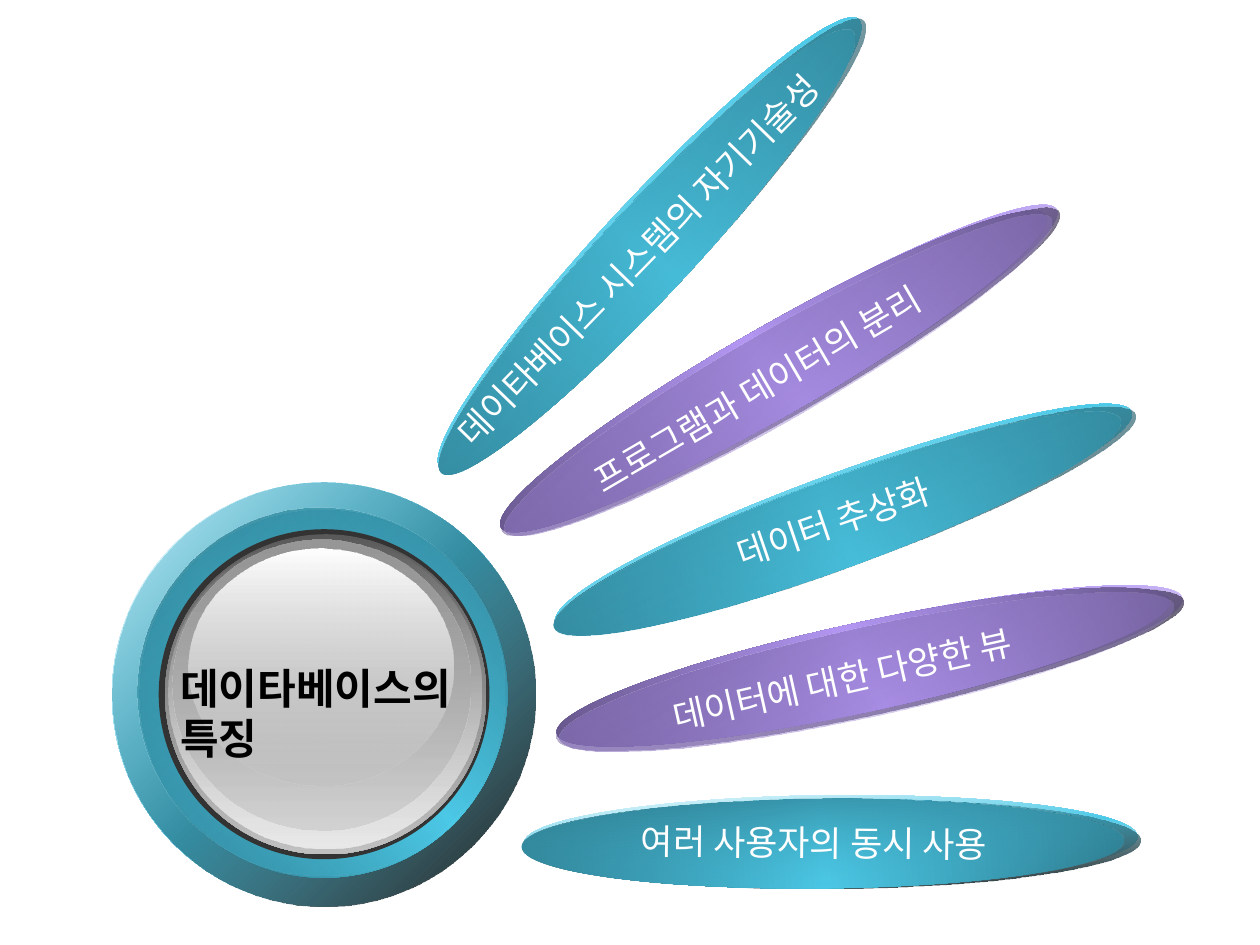
import math
from dataclasses import dataclass

import pptx
import pptx.dml.color
import pptx.enum.shapes
import pptx.enum.text
import pptx.oxml
import pptx.oxml.ns
import pptx.util
from lxml import etree

Pt = pptx.util.Pt
qn = pptx.oxml.ns.qn


@dataclass(frozen=True)
class Tone:
    base: str
    edge: str
    shade: str
    angle: int


@dataclass(frozen=True)
class Theme:
    font: str = "Noto Sans CJK KR"
    title_size: int = 24
    label_size: int = 20
    black: str = "000000"
    white: str = "FFFFFF"
    rim: str = "333333"
    dark: str = "595959"
    mid: str = "989898"
    silver: str = "C0C0C0"
    pale: str = "E9E9E9"
    teal: Tone = Tone("4CCAE8", "296D7E", "308093", 86)
    purple: Tone = Tone("B296F2", "605183", "715F9A", 75)


class Deck:
    def __init__(self, theme):
        self.theme = theme
        self.prs = pptx.Presentation()
        self.prs.slide_width, self.prs.slide_height = Pt(720), Pt(540)
        self.s = self.prs.slides.add_slide(self.prs.slide_layouts[5])

    def group(self):
        return self.s.shapes.add_group_shape().shapes

    def gradient(self, sp, stops, angle):
        sp.fill.background()
        fill = pptx.oxml.parse_xml(
            '<a:gradFill xmlns:a="http://schemas.openxmlformats.org/drawingml/2006/main"'
            f' rotWithShape="1"><a:gsLst/><a:lin ang="{angle * 60000}" scaled="1"/></a:gradFill>')
        for pos, color, alpha in stops:
            gs = etree.SubElement(fill[0], qn("a:gs"), pos=str(pos * 1000))
            clr = etree.SubElement(gs, qn("a:srgbClr"), val=color)
            if alpha < 100:
                etree.SubElement(clr, qn("a:alpha"), val=str(alpha * 1000))
        old = sp.element.spPr.find(qn("a:noFill"))
        sp.element.spPr.replace(old, fill)

    def ellipse(self, shapes, box, stops, angle=0, rotation=0):
        sp = shapes.add_shape(pptx.enum.shapes.MSO_SHAPE.OVAL, *map(Pt, box))
        sp.rotation = rotation
        sp.shadow.inherit = False
        sp.line.fill.background()
        if isinstance(stops, str):
            sp.fill.solid()
            sp.fill.fore_color.rgb = pptx.dml.color.RGBColor.from_string(stops)
        else:
            self.gradient(sp, stops, angle)

    def run(self, p, text, size, color, bold=False):
        p.alignment = pptx.enum.text.PP_ALIGN.LEFT
        r = p.add_run()
        r.text = text
        r.font.size, r.font.bold = Pt(size), bold
        r.font.color.rgb = pptx.dml.color.RGBColor.from_string(color)
        r.font.name = self.theme.font
        etree.SubElement(r.font._element, qn("a:ea"), typeface=self.theme.font)

    def label(self, shapes, text, center, width, rotation):
        height = 32
        box = center[0] - width / 2, center[1] - height / 2, width, height
        sp = shapes.add_textbox(*map(Pt, box))
        sp.rotation = rotation
        sp.text_frame.word_wrap = False
        self.run(sp.text_frame.paragraphs[0], text, self.theme.label_size, self.theme.white)

    def title(self, lines, box):
        sp = self.s.shapes.title
        sp.left, sp.top, sp.width, sp.height = map(Pt, box)
        tf = sp.text_frame
        tf.word_wrap = True
        tf.auto_size = pptx.enum.text.MSO_AUTO_SIZE.NONE
        tf.vertical_anchor = pptx.enum.text.MSO_ANCHOR.TOP
        for i, line in enumerate(lines):
            p = tf.add_paragraph() if i else tf.paragraphs[0]
            self.run(p, line, self.theme.title_size, self.theme.black, True)
        self.s.shapes.element.append(sp.element)

    def glass(self, tone, angle):
        t = self.theme
        return [
            ([(0, t.white, 100), (50, tone.base, 100), (100, t.white, 100)], angle),
            ([(0, tone.base, 32), (100, t.black, 90)], angle),
            ([(0, tone.edge, 100), (50, tone.base, 100), (100, tone.edge, 100)],
             (angle - 90) % 360),
            ([(0, tone.shade, 100), (100, tone.base, 0)], angle),
        ]

    def petal(self, tone, center, rotation, layers, text, text_center, text_width, text_rotation):
        shapes = self.group()
        cos, sin = math.cos(math.radians(rotation)), math.sin(math.radians(rotation))
        height = 51
        for (width, dx, dy), (stops, angle) in zip(layers, self.glass(tone, tone.angle)):
            x = center[0] + dx * cos - dy * sin
            y = center[1] + dx * sin + dy * cos
            box = x - width / 2, y - height / 2, width, height
            self.ellipse(shapes, box, stops, angle, rotation)
        self.label(shapes, text, text_center, text_width, text_rotation)

    def dial(self):
        t = self.theme
        shapes = self.group()
        rings = [(64, 275.8, 242, 242), (64, 275.8, 242, 242),
                 (80, 291.6, 210, 210), (78.5, 290.2, 210, 210)]
        for box, (stops, angle) in zip(rings, self.glass(t.teal, 45)):
            self.ellipse(shapes, box, stops, angle)
        self.ellipse(shapes, (90.7, 302.4, 189, 188.6), t.rim)
        faces = [
            ((94.3, 305.3, 183.6, 183), (t.dark, 100), (t.silver, 100)),
            ((96.5, 306, 178.6, 178.6), (t.silver, 0), (t.pale, 100)),
            ((98.6, 308.2, 170, 166.3), (t.mid, 100), (t.silver, 48)),
            ((108, 313.2, 151.2, 135.4), (t.white, 100), (t.silver, 38)),
        ]
        for box, start, end in faces:
            self.ellipse(shapes, box, [(0, *start), (100, *end)], 90)


def main():
    theme = Theme()
    deck = Deck(theme)
    layers = {
        theme.teal: [(350.6, 0, 0), (352, 0.7, 2.2), (344.2, -4.7, 2.2), (344.2, -4.7, 2.2)],
        theme.purple: [(365.8, 0, 0), (366.5, 0, 2.2), (358.6, -3.6, 0), (358.6, -2.2, 3.2)],
    }
    petals = [
        (theme.teal, (371.2, 139.3), 313,
         "데이타베이스 시스템의 자기기술성", (370.4, 142.6), 316, 314.2),
        (theme.purple, (445, 210.6), 330.2,
         "프로그램과 데이터의 분리", (438.8, 218.9), 240, 329.7),
        (theme.teal, (482, 295.6), 339.9,
         "데이터 추상화", (480.2, 297.4), 137, 341.1),
        (theme.purple, (496.8, 380.5), 347.8,
         "데이터에 대한 다양한 뷰", (488.5, 386.6), 227, 347.3),
        (theme.teal, (474.8, 479.9), 359.4,
         "여러 사용자의 동시 사용", (472.7, 481.7), 227, 0.6),
    ]
    deck.dial()
    for tone, center, rotation, *label in petals:
        deck.petal(tone, center, rotation, layers[tone], *label)
    deck.title(["데이타베이스의", "특징"], (95.8, 375, 237.6, 64.8))
    deck.prs.save("out.pptx")


if __name__ == "__main__":
    main()
